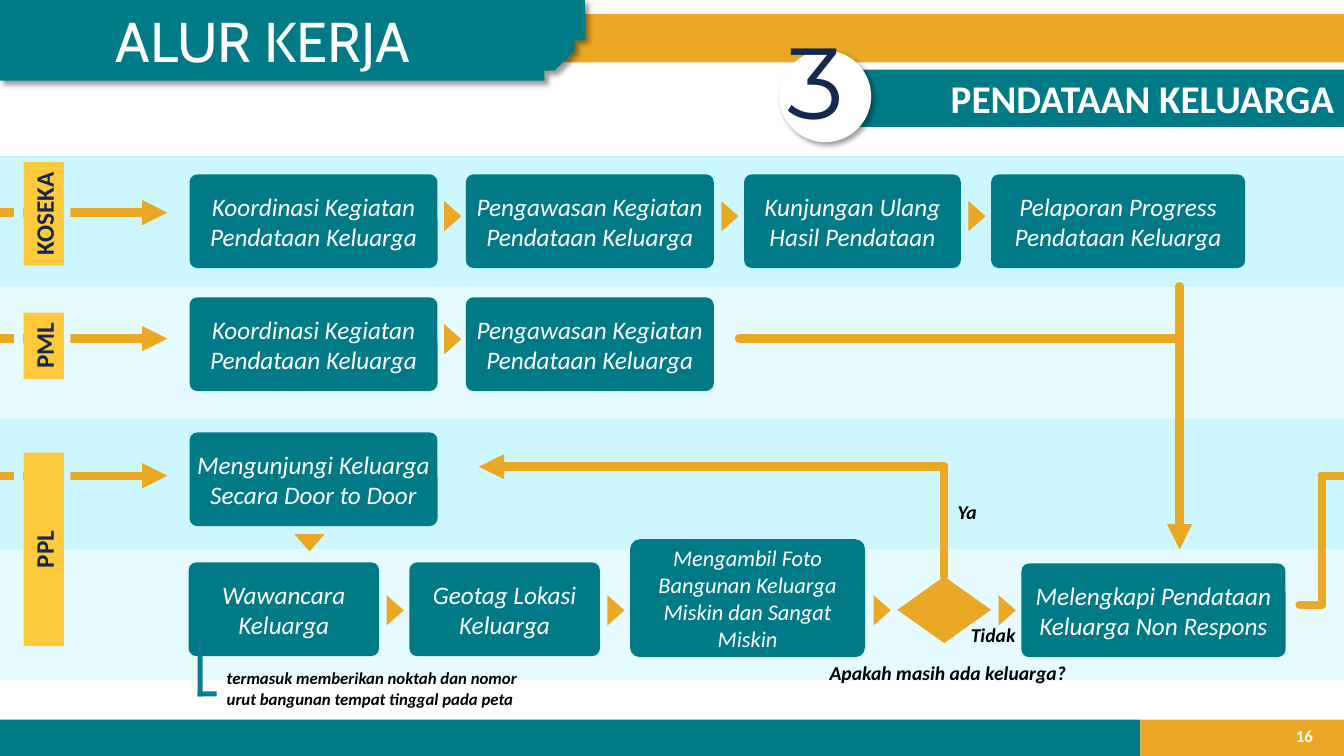
import math

import pptx
import pptx.dml.color
import pptx.enum.shapes
import pptx.enum.text
import pptx.oxml
import pptx.oxml.ns
import pptx.util

SHAPE = pptx.enum.shapes.MSO_SHAPE
ALIGN = pptx.enum.text.PP_ALIGN
ANCHOR = pptx.enum.text.MSO_ANCHOR

# The slide is a grid of square cells, 0.1 inch each
COLUMNS, ROWS = 133.3, 75
TEAL, AMBER, YELLOW, NAVY = "017A87", "EAA824", "FFC93C", "142850"
WHITE, BLACK, BLUE = "FFFFFF", "000000", "0C7B93"
LANES = ["CDF7FF", "E5FBFF", "CDF7FF", "E5FBFF"]
LANE_TOP, LANE_HEIGHT = 15.5, 13
STEP_HEIGHT = 9.3


def cells(count):
    return pptx.util.Inches(count / 10)


def rgb(value):
    return pptx.dml.color.RGBColor.from_string(value)


def apply(target, values):
    for name, value in values.items():
        setattr(target, name, value)


def add_effects(properties, shadow=False):
    """Replace the theme's effects by none, or by a soft shadow."""
    effect = ('<a:outerShdw blurRad="50800" dist="38100" dir="2700000">'
              '<a:srgbClr val="000000"><a:alpha val="40000"/></a:srgbClr></a:outerShdw>')
    for old in properties.findall(pptx.oxml.ns.qn("a:effectLst")):
        properties.remove(old)
    properties.append(pptx.oxml.parse_xml(
        f'<a:effectLst {pptx.oxml.ns.nsdecls("a")}>{effect if shadow else ""}</a:effectLst>'))


def paint(shape, color, shadow=False):
    shape.shadow.inherit = False
    shape.fill.solid()
    shape.fill.fore_color.rgb = rgb(color)
    shape.line.fill.background()
    if shadow:
        add_effects(shape._element.spPr, True)
    return shape


def add_block(page, kind, box, color, shadow=False):
    return paint(page.shapes.add_shape(kind, *map(cells, box)), color, shadow)


def write(shape, text, size, color, align=ALIGN.LEFT, anchor=ANCHOR.TOP,
          wrap=True, inset=1.0, font="Calibri", bold=False, italic=False):
    frame = shape.text_frame
    apply(frame, {
        "margin_left": cells(inset), "margin_right": cells(inset),
        "margin_top": cells(0.5), "margin_bottom": cells(0.5),
        "word_wrap": wrap, "vertical_anchor": anchor,
        "auto_size": pptx.enum.text.MSO_AUTO_SIZE.NONE})
    para = frame.paragraphs[0]
    para.alignment = align
    span = para.add_run()
    span.text = text
    apply(span.font, {"size": pptx.util.Pt(size), "name": font,
                      "bold": bold, "italic": italic})
    span.font.color.rgb = rgb(color)
    return shape


def add_note(page, box, text, size, color=BLACK, **values):
    return write(page.shapes.add_textbox(*map(cells, box)), text, size, color, **values)


def add_path(page, points, arrow=False, source=None):
    """Join the points by thick lines; the last may carry an arrowhead."""
    for index, (start, end) in enumerate(zip(points, points[1:])):
        line = page.shapes.add_connector(pptx.enum.shapes.MSO_CONNECTOR.STRAIGHT,
                                         *map(cells, start + end))
        if source is not None and index == 0:
            line.begin_connect(source, 0)
        line.line.color.rgb = rgb(AMBER)
        line.line.width = pptx.util.Pt(6)
        outline = line.line._get_or_add_ln()
        outline.set("cap", "rnd")
        if arrow and index == len(points) - 2:
            outline.append(pptx.oxml.parse_xml(
                f'<a:tailEnd {pptx.oxml.ns.nsdecls("a")} type="triangle"/>'))
        add_effects(line._element.spPr)


def add_marker(page, x, y, rotation=90):
    marker = add_block(page, SHAPE.ISOSCELES_TRIANGLE, (x - 1.5, y - 0.85, 3, 1.7), AMBER)
    marker.rotation = rotation


def add_markers(page, steps, y):
    """Put a marker in the middle of each gap between neighbours."""
    for before, after in zip(steps, steps[1:]):
        gap_middle = (before.left + before.width + after.left) / 2
        add_marker(page, gap_middle / cells(1) + 0.1, y)


def add_step(page, box, text, size=18):
    step = add_block(page, SHAPE.ROUNDED_RECTANGLE, box, TEAL)
    step.adjustments[0] = 0.083
    return write(step, text, size, WHITE, ALIGN.CENTER, ANCHOR.MIDDLE,
                 inset=0.4, italic=True)


def add_chain(page, top, steps, marker_y=None):
    shapes = [add_step(page, (left, top, width, STEP_HEIGHT), text)
              for text, left, width in steps]
    if marker_y is not None:
        add_markers(page, shapes, marker_y)
    return shapes


def add_entry(page, box, color, role, line_y, label_y, label_length):
    """Arrow entering a lane, interrupted around the role label."""
    left, top = box[:2]
    y = top + line_y
    add_path(page, [(left, y), (left + 16.6, y)], arrow=True)
    for gap_left, gap_width in ((1.4, 0.9), (6.3, 0.7)):
        add_block(page, SHAPE.RECTANGLE, (left + gap_left, y - 2.6, gap_width, 5.1), color)
    label = add_block(page, SHAPE.RECTANGLE,
                      (left + 4.35 - label_length / 2, top + label_y - 2, label_length, 4),
                      YELLOW)
    label.rotation = 270
    write(label, role, 18, NAVY, ALIGN.CENTER, ANCHOR.MIDDLE, wrap=False, bold=True)


def add_footer(page, box):
    left, top, width, height = box
    split = 113.1
    add_block(page, SHAPE.RECTANGLE, (left, top, split, height), TEAL)
    add_block(page, SHAPE.RECTANGLE, (left + split, top, width - split, height), AMBER)
    add_note(page, (left + 126.5, top - 0.4, 4.7, 4), "16", 12, WHITE,
             align=ALIGN.RIGHT, anchor=ANCHOR.MIDDLE, bold=True)


def add_header(page, box):
    left, top, width, height = box
    add_block(page, SHAPE.RECTANGLE, (left + 50.5, top + 1.4, width - 50.5, 4.8), AMBER)

    # Title tab with one rounded corner
    center_x, radius = left + 50.1, 8.4
    arc = [(center_x + radius * math.cos(math.radians(angle)),
            top + radius * math.sin(math.radians(angle))) for angle in range(0, 91, 3)]
    builder = page.shapes.build_freeform(left, top, scale=cells(1))
    builder.add_line_segments(arc + [(left, top + radius)], close=True)
    paint(builder.convert_to_shape(), TEAL, shadow=True)

    title = page.shapes.title
    apply(title, dict(zip(("left", "top", "width", "height"),
                          map(cells, (left + 10.5, top + 0.1, 35.4, 7.7)))))
    write(title, "ALUR KERJA", 40, WHITE, font="Cabin", wrap=False)
    page.shapes._spTree.append(title._element)

    # Section heading and its number
    heading = add_block(page, SHAPE.RECTANGLE,
                        (left + 82.5, top + 6.9, width - 82.5, 5.7), TEAL)
    write(heading, "PENDATAAN KELUARGA", 28, WHITE, ALIGN.RIGHT, ANCHOR.MIDDLE, bold=True)
    add_block(page, SHAPE.OVAL, (left + 77.3, top + 5, 9.1, 9.1), WHITE, shadow=True)
    add_note(page, (left + 77.1, top + 1.4, 8.8, 13.1), "3", 72, NAVY, font="Montserrat")


def add_koseka(page, box):
    add_entry(page, box, LANES[0], "KOSEKA", 5.6, 5.7, 10.3)
    add_chain(page, box[1] + 1.8, [
        ("Koordinasi Kegiatan Pendataan Keluarga", 18.8, 24.6),
        ("Pengawasan Kegiatan Pendataan Keluarga", 46.2, 24.6),
        ("Kunjungan Ulang Hasil Pendataan", 73.8, 21.5),
        ("Pelaporan Progress Pendataan Keluarga", 98.3, 25.2)], box[1] + 5.95)


def add_pml(page, box):
    top = box[1]
    add_entry(page, box, LANES[1], "PML", 5.1, 5.8, 6.6)
    add_chain(page, top + 1, [
        ("Koordinasi Kegiatan Pendataan Keluarga", 18.8, 24.6),
        ("Pengawasan Kegiatan Pendataan Keluarga", 46.2, 24.6)], top + 5.15)
    add_path(page, [(117, top - 0.1), (117, top + 26)], arrow=True)
    add_path(page, [(73.3, top + 5.1), (117, top + 5.1)])


def add_ppl(page, box):
    top = box[1]
    add_entry(page, box, LANES[2], "PPL", 5.7, 13, 19.2)
    add_chain(page, top + 1.4, [("Mengunjungi Keluarga Secara Door to Door", 18.8, 24.6)])
    add_marker(page, 30.7, top + 12.35, 180)

    # Lower row: interview to decision to completion
    steps = add_chain(page, top + 14.3, [("Wawancara Keluarga", 18.7, 18.9),
                                         ("Geotag Lokasi Keluarga", 40.6, 18.9)])
    photo = add_step(page, (62.5, top + 12, 23.3, 11.7),
                     "Mengambil Foto Bangunan Keluarga Miskin dan Sangat Miskin", 16)
    decision = add_block(page, SHAPE.DIAMOND, (89, top + 15.7, 9.3, 6.6), AMBER)
    finish = add_step(page, (101.3, top + 14.4, 26.2, STEP_HEIGHT),
                      "Melengkapi Pendataan Keluarga Non Respons")
    add_markers(page, steps + [photo, decision, finish], top + 19.05)

    # Loop back, and the way out to the right edge
    add_path(page, [(93.65, top + 15.7), (93.65, top + 4.8), (47.5, top + 4.8)],
             arrow=True, source=decision)
    add_path(page, [(128.9, top + 18.5), (131.1, top + 18.5),
                    (131.1, top + 5.7), (COLUMNS, top + 5.7)])

    # Notes
    for text, left, offset, width in (("Apakah masih ada keluarga?", 81.3, 23.6, 25.7),
                                      ("Ya", 94, 7.6, 3.9), ("Tidak", 95.3, 19.8, 6.5)):
        add_note(page, (left, top + offset, width, 3.4), text, 14,
                 wrap=False, bold=True, italic=True)
    add_note(page, (21.5, top + 24.3, 33.2, 5),
             "termasuk memberikan noktah dan nomor urut bangunan tempat tinggal pada peta",
             12, bold=True, italic=True)
    for offset, width, height in ((21.9, 0.5, 5.7), (27.1, 1.9, 0.5)):
        add_block(page, SHAPE.RECTANGLE, (19.6, top + offset, width, height), BLUE)


def main():
    deck = pptx.Presentation()
    deck.slide_width, deck.slide_height = cells(COLUMNS), cells(ROWS)
    page = deck.slides.add_slide(deck.slide_layouts[5])
    add_footer(page, (0, 71.4, COLUMNS, 3.6))
    add_header(page, (0, 0, COLUMNS, 14.1))
    lanes = [(0, LANE_TOP + index * LANE_HEIGHT, COLUMNS, LANE_HEIGHT)
             for index in range(len(LANES))]
    for box, color in zip(lanes, LANES):
        add_block(page, SHAPE.RECTANGLE, box, color)
    for add_lane, box in zip((add_koseka, add_pml, add_ppl), lanes):
        add_lane(page, box)
    deck.save("out.pptx")


if __name__ == "__main__":
    main()
